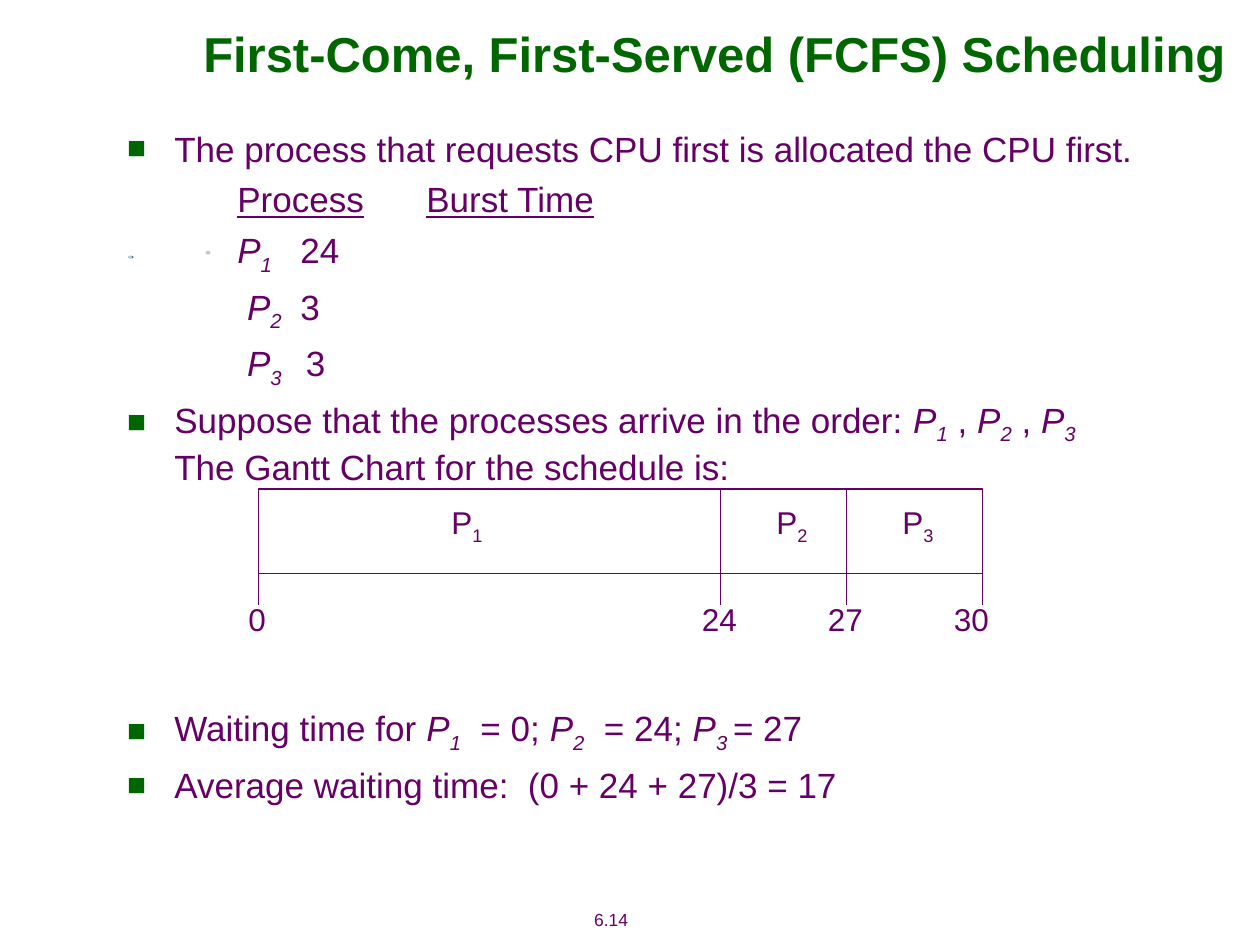
import pptx
import pptx.dml.color
import pptx.enum.shapes
import pptx.enum.text
import pptx.oxml.ns
import pptx.util
from lxml import etree

Pt = pptx.util.Pt
SHAPES = pptx.enum.shapes.MSO_SHAPE
ANCHORS = pptx.enum.text.MSO_ANCHOR
ALIGNMENTS = pptx.enum.text.PP_ALIGN
GREEN, PURPLE, WHITE = "006600", "660066", "FFFFFF"
INDENT = 27


def color(value):
    return pptx.dml.color.RGBColor.from_string(value)


def add_element(parent, tag, **attributes):
    element = etree.SubElement(parent, pptx.oxml.ns.qn(tag))
    for name, value in attributes.items():
        element.set(name, str(value))
    return element


def write(paragraph, text, size=20, fill=PURPLE, bold=False, italic=False,
          underline=False, subscript=False):
    for index, line in enumerate(text.split("\n")):
        if index:
            paragraph.add_line_break()
        if not line:
            continue
        run = paragraph.add_run()
        run.text = line
        font = run.font
        font.name, font.size = "Arial", Pt(size)
        font.bold, font.italic, font.underline = bold, italic, underline
        font.color.rgb = color(fill)
        if subscript:
            run._r.get_or_add_rPr().set("baseline", "-25000")


def write_processes(paragraph, text, italic=True, **style):
    first, *rest = text.split("P_")
    write(paragraph, first, **style)
    for piece in rest:
        number, _, after = piece.partition("|")
        write(paragraph, "P", italic=italic, **style)
        write(paragraph, number, italic=italic, subscript=True, **style)
        write(paragraph, after, **style)


class SlideBuilder:
    def __init__(self, slide, line_color=PURPLE, line_width=0.75):
        self.slide = slide
        self.line_color = line_color
        self.line_width = line_width

    def text_box(self, left, top, width, height, wrap=True, anchor=ANCHORS.TOP):
        shape = self.slide.shapes.add_textbox(Pt(left), Pt(top), Pt(width), Pt(height))
        frame = shape.text_frame
        frame.word_wrap = wrap
        frame.vertical_anchor = anchor
        return frame

    def label(self, text, center, top, width, height, wrap=False, **style):
        frame = self.text_box(center - width / 2, top, width, height, wrap, ANCHORS.MIDDLE)
        paragraph = frame.paragraphs[0]
        paragraph.alignment = ALIGNMENTS.CENTER
        write_processes(paragraph, text, italic=False, **style)

    def shape(self, kind, left, top, width, height, fill, outlined=False):
        shape = self.slide.shapes.add_shape(kind, Pt(left), Pt(top), Pt(width), Pt(height))
        shape.shadow.inherit = False
        shape.fill.solid()
        shape.fill.fore_color.rgb = color(fill)
        if outlined:
            shape.line.color.rgb = color(self.line_color)
            shape.line.width = Pt(self.line_width)
        else:
            shape.line.fill.background()

    def vertical_line(self, x, top, bottom):
        connector = self.slide.shapes.add_connector(
            pptx.enum.shapes.MSO_CONNECTOR.STRAIGHT, Pt(x), Pt(top), Pt(x), Pt(bottom))
        connector.line.color.rgb = color(self.line_color)
        connector.line.width = Pt(self.line_width)
        add_element(connector._element.spPr, "a:effectLst")

    def paragraph(self, frame, text, bulleted=True, underline=False, space_before=5):
        paragraph = frame.paragraphs[0]
        if paragraph.runs:
            paragraph = frame.add_paragraph()
            paragraph.space_before = Pt(space_before)
        properties = paragraph._p.get_or_add_pPr()
        properties.set("marL", str(Pt(INDENT)))
        properties.set("indent", str(Pt(-INDENT)))
        if bulleted:
            bullet_color = add_element(properties, "a:buClr")
            add_element(bullet_color, "a:srgbClr", val=GREEN)
            add_element(properties, "a:buSzPct", val=90000)
            add_element(properties, "a:buFont", typeface="Arial")
            add_element(properties, "a:buChar", char="■")
        else:
            add_element(properties, "a:buNone")
            tabs = add_element(properties, "a:tabLst")
            stops = [(0, "l"), (239, "ctr"), (365, "ctr")]
            stops += [(72 * inch, "l") for inch in range(6, 11)]
            for position, alignment in stops:
                add_element(tabs, "a:tab", pos=Pt(position), algn=alignment)
            write(paragraph, "\t\t")
        write_processes(paragraph, text, underline=underline)


def add_body(builder):
    frame = builder.text_box(65.5, 69.1, 612.7, 427)
    builder.paragraph(frame, "The process that requests CPU first is allocated the CPU first.")
    builder.paragraph(frame, "Process\tBurst Time", bulleted=False, underline=True)
    for row in ("P_1\t|24", " P_2 \t|3", " P_3\t |3"):
        builder.paragraph(frame, row, bulleted=False)
    builder.paragraph(frame, "Suppose that the processes arrive in the order: "
                             "P_1| , P_2| , P_3|\nThe Gantt Chart for the schedule is:")
    builder.paragraph(frame, "Waiting time for P_1|  = 0; P_2|  = 24; P_3 |= 27",
                      space_before=125)
    builder.paragraph(frame, "Average waiting time:  (0 + 24 + 27)/3 = 17")


def add_gantt_chart(builder):
    left, right, top, bottom, tick_end = 147.6, 561.6, 279.4, 327.6, 345.6
    dividers = (411.8, 483.8)
    builder.shape(SHAPES.RECTANGLE, left, top, right - left, bottom - top, WHITE, outlined=True)
    for text, center in (("P_1", 266.8), ("P_2", 452.5), ("P_3", 524.5)):
        builder.label(text, center, 283.7, 32.4, 31.7, size=18)
    for x in dividers:
        builder.vertical_line(x, top, bottom)
    for x in (left, *dividers, right):
        builder.vertical_line(x, bottom, tick_end)
    for text, center in (("0", 146.9), ("24", 411.1), ("27", 483.1), ("30", 555.1)):
        builder.label(text, center, 339.1, 34.6, 28.8, size=18)


def main():
    presentation = pptx.Presentation()
    presentation.slide_width, presentation.slide_height = Pt(720), Pt(540)
    slide = presentation.slides.add_slide(presentation.slide_layouts[6])
    builder = SlideBuilder(slide)
    builder.label("6.14", 349.2, 515.5, 67.7, 19.4, size=10)
    builder.shape(SHAPES.OVAL, 73.4, 146.2, 2.9, 1.4, "284C70")
    builder.shape(SHAPES.OVAL, 73.4, 146.2, 2.2, 1.4, "BFCCD8")
    builder.shape(SHAPES.OVAL, 117.4, 143.3, 2.9, 2.2, "BFCCD8")
    builder.label("First-Come, First-Served (FCFS) Scheduling", 408.2, 12.2, 656.6, 36,
                  wrap=True, size=28, fill=GREEN, bold=True)
    add_body(builder)
    add_gantt_chart(builder)
    presentation.save("out.pptx")


if __name__ == "__main__":
    main()
